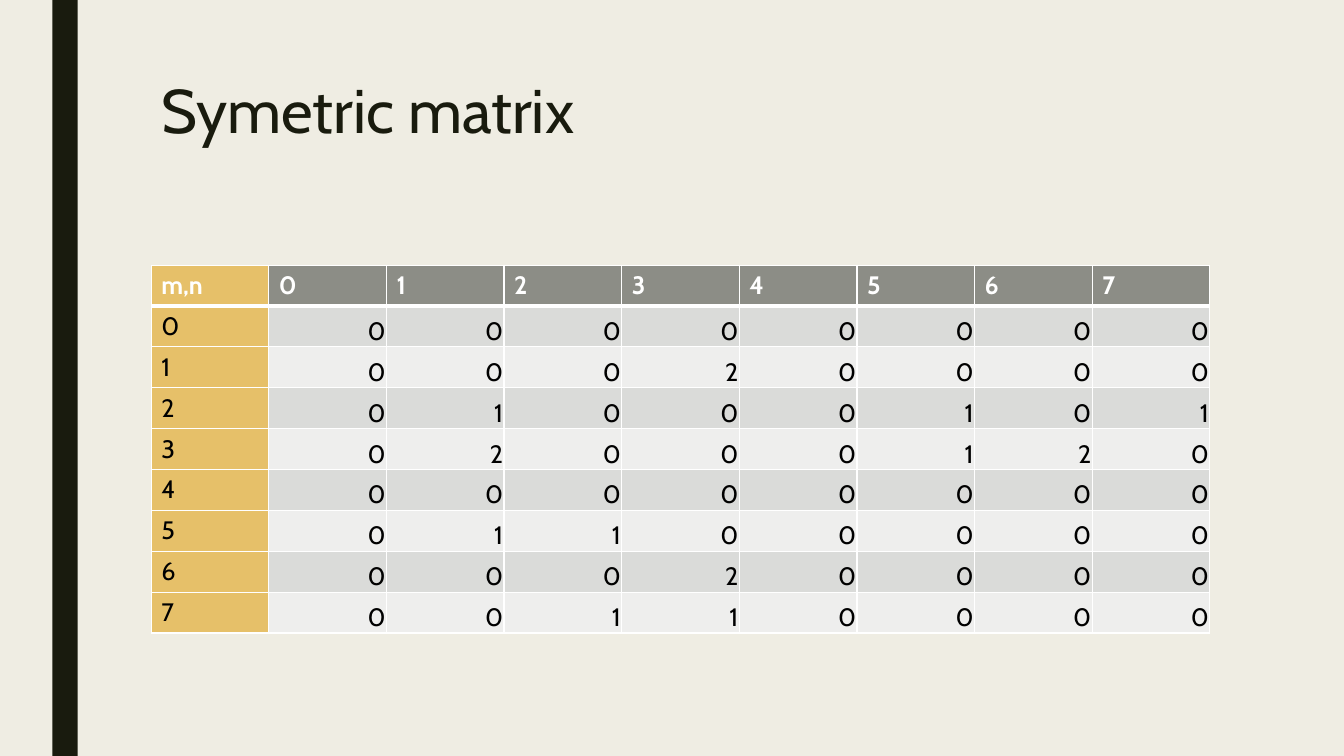
"""Build the slide that shows an 8 by 8 matrix as a table."""
import lxml.etree
import pptx
import pptx.dml.color
import pptx.enum.shapes
import pptx.enum.text
import pptx.oxml.ns
import pptx.util
from pptx.util import Inches

COLORS = {
    "background": "EFEDE3",
    "ink": "191B0E",
    "index": "E6C069",
    "header": "8C8D86",
    "odd_row": "DADBD9",
    "even_row": "EEEEED",
    "white": "FFFFFF",
    "black": "000000",
}
FONT = "Cabin"
MATRIX = [
    [0, 0, 0, 0, 0, 0, 0, 0],
    [0, 0, 0, 2, 0, 0, 0, 0],
    [0, 1, 0, 0, 0, 1, 0, 1],
    [0, 2, 0, 0, 0, 1, 2, 0],
    [0, 0, 0, 0, 0, 0, 0, 0],
    [0, 1, 1, 0, 0, 0, 0, 0],
    [0, 0, 0, 2, 0, 0, 0, 0],
    [0, 0, 1, 1, 0, 0, 0, 0],
]


def rgb(name):
    return pptx.dml.color.RGBColor.from_string(COLORS[name])


def add_border(cell, side, points):
    properties = cell._tc.get_or_add_tcPr()
    line = lxml.etree.SubElement(properties, pptx.oxml.ns.qn(f"a:ln{side}"), w=str(pptx.util.Pt(points)))
    fill = lxml.etree.SubElement(line, pptx.oxml.ns.qn("a:solidFill"))
    lxml.etree.SubElement(fill, pptx.oxml.ns.qn("a:srgbClr"), val=COLORS["white"])


deck = pptx.Presentation()
deck.slide_width, deck.slide_height = Inches(13.33), Inches(7.5)
slide = deck.slides.add_slide(deck.slide_layouts[5])
slide.background.fill.solid()
slide.background.fill.fore_color.rgb = rgb("background")

side_band = slide.shapes.add_shape(
    pptx.enum.shapes.MSO_SHAPE.RECTANGLE, Inches(0.52), 0, Inches(0.25), Inches(7.5))
side_band.shadow.inherit = False
side_band.fill.solid()
side_band.fill.fore_color.rgb = rgb("ink")
side_band.line.fill.background()

title = slide.shapes.title
title.left, title.top, title.width, title.height = Inches(1.5), Inches(0.75), Inches(10.5), Inches(1.62)
title.text_frame.text = "Symetric matrix"
title.text_frame.vertical_anchor = pptx.enum.text.MSO_ANCHOR.TOP
heading = title.text_frame.paragraphs[0]
heading.alignment = pptx.enum.text.PP_ALIGN.LEFT
heading.line_spacing = 0.89
heading_font = heading.runs[0].font
heading_font.name, heading_font.size = FONT, pptx.util.Pt(44)
heading_font.color.rgb = rgb("ink")

size = len(MATRIX)
entries = [["m,n", *range(size)]] + [[m, *values] for m, values in enumerate(MATRIX)]
matrix_table = slide.shapes.add_table(
    size + 1, size + 1, Inches(1.5), Inches(2.63), Inches(10.5), Inches(3.65)).table
for column in matrix_table.columns:
    column.width = Inches(10.5 / (size + 1))
for row in matrix_table.rows:
    row.height = Inches(3.65 / (size + 1))

for m, row_entries in enumerate(entries):
    for n, entry in enumerate(row_entries):
        cell = matrix_table.cell(m, n)
        cell.text_frame.text = str(entry)
        paragraph = cell.text_frame.paragraphs[0]
        if m and n:
            cell.vertical_anchor = pptx.enum.text.MSO_ANCHOR.BOTTOM
            cell.margin_left = cell.margin_top = cell.margin_right = Inches(0.01)
            cell.margin_bottom = 0
            paragraph.alignment = pptx.enum.text.PP_ALIGN.RIGHT
        font = paragraph.runs[0].font
        font.name, font.size, font.bold = FONT, pptx.util.Pt(18), m == 0
        font.color.rgb = rgb("black" if m else "white")

        for side in "LRTB":
            under_header = (m, side) in [(0, "B"), (1, "T")]
            add_border(cell, side, 3 if under_header else 1)
        if n == 0:
            shade = "index"
        elif m == 0:
            shade = "header"
        else:
            shade = "odd_row" if m % 2 else "even_row"
        cell.fill.solid()
        cell.fill.fore_color.rgb = rgb(shade)

deck.save("out.pptx")
